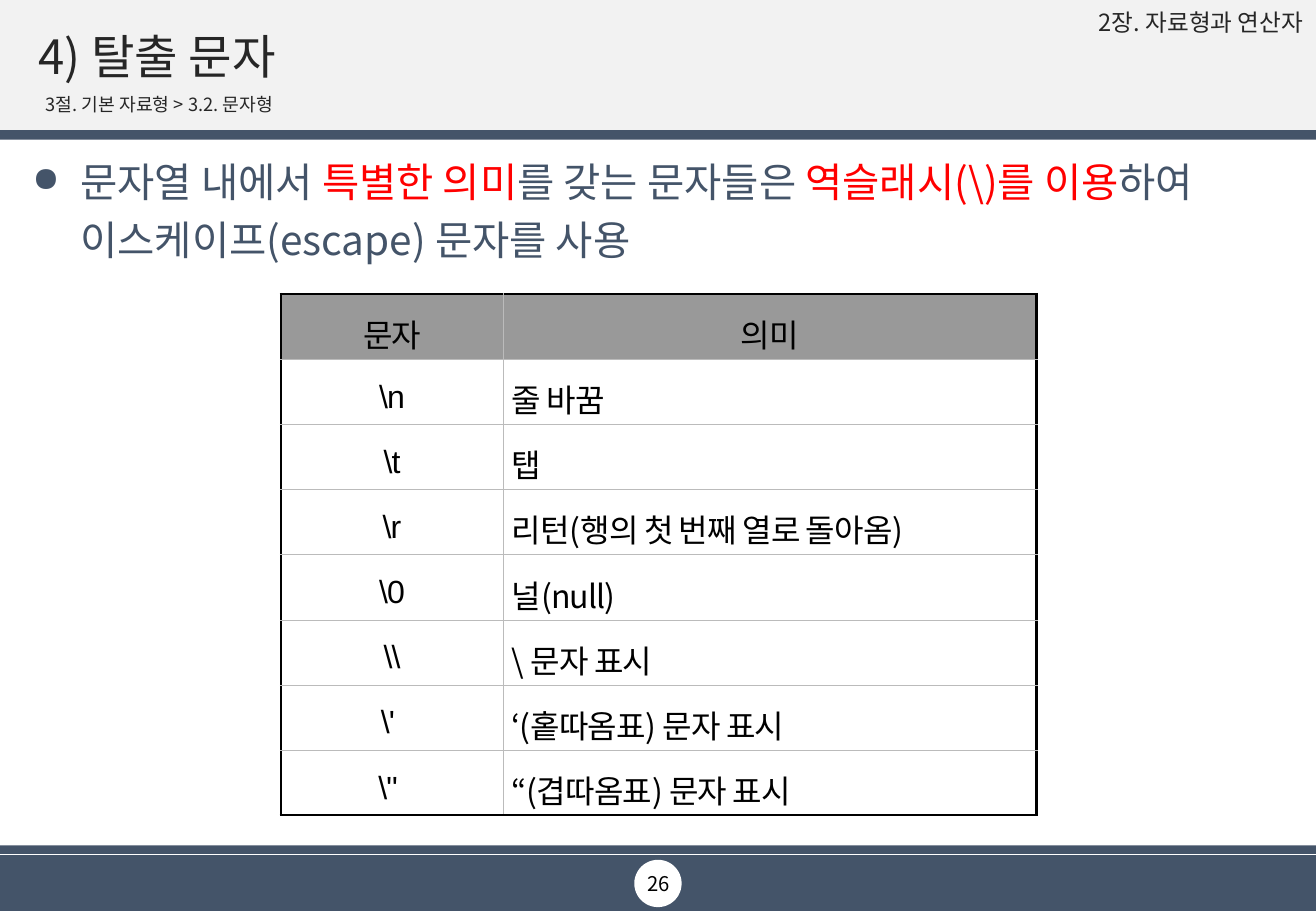
from dataclasses import dataclass
from typing import Any

from lxml import etree
from pptx import Presentation
from pptx.dml.color import RGBColor
from pptx.enum import shapes, text
from pptx.oxml import ns
from pptx.util import Cm, Pt

NAVY = RGBColor(0x44, 0x54, 0x69)
PALE = RGBColor(0xF2, 0xF2, 0xF2)
DARK = RGBColor(0x26, 0x26, 0x26)
RED = RGBColor(0xFF, 0x00, 0x00)
BLACK = RGBColor(0x00, 0x00, 0x00)
WHITE = RGBColor(0xFF, 0xFF, 0xFF)
GRAY = RGBColor(0x99, 0x99, 0x99)
RULE = RGBColor(0xBB, 0xBB, 0xBB)
SANS = "Noto Sans CJK KR"
ARIAL = "Arial"
LEFT, MID, RIGHT, JUST = (text.PP_ALIGN.LEFT, text.PP_ALIGN.CENTER,
                          text.PP_ALIGN.RIGHT, text.PP_ALIGN.JUSTIFY)
TOP, CENTER = text.MSO_ANCHOR.TOP, text.MSO_ANCHOR.MIDDLE
RECT, OVAL = shapes.MSO_SHAPE.RECTANGLE, shapes.MSO_SHAPE.OVAL
WIDE, HIGH = 27.51, 19.05


@dataclass
class Block:
    kind: Any
    x: float
    y: float
    w: float
    h: float
    fill: RGBColor


@dataclass
class Span:
    words: str
    size: float
    color: RGBColor
    face: str = SANS


@dataclass
class Label:
    x: float
    y: float
    w: float
    h: float
    spans: list[Span]
    align: Any = LEFT
    anchor: Any = TOP
    lead: float = 1.0
    pad: tuple[float, float, float, float] = (0.25, 0.13, 0.25, 0.13)


BLOCKS = [
    Block(RECT, 0, 0, WIDE, 2.72, PALE),
    Block(RECT, 0, 17.88, WIDE, 1.17, NAVY),
    Block(RECT, 0, 17.68, WIDE, 0.18, NAVY),
    Block(RECT, 0, 2.72, WIDE, 0.2, NAVY),
    Block(OVAL, 13.26, 17.98, 0.99, 0.99, WHITE),
]
TITLE = Label(0.56, 0.53, 26.39, 1.4, [Span("4) 탈출 문자", 28, DARK)],
              anchor=CENTER, lead=0.9)
BODY = Label(0.43, 2.95, 26.52, 14.53, [
    Span("문자열 내에서 ", 24, NAVY),
    Span("특별한 의미", 24, RED),
    Span("를 갖는 문자들은 ", 24, NAVY),
    Span("역슬래시(\\)를 이용", 24, RED),
    Span("하여 이스케이프(escape) 문자를 사용", 24, NAVY),
], lead=1.2)
NOTES = [
    Label(22.68, 0.13, 4.67, 0.74, [Span("2장. 자료형과 연산자", 14, DARK)],
          align=RIGHT, lead=0.9, pad=(0.1, 0.1, 0.1, 0.1)),
    Label(10.67, 17.98, 6.2, 0.99, [Span("26", 12, BLACK)],
          align=MID, anchor=CENTER),
    Label(0.76, 1.93, 26.21, 0.61,
          [Span("3절. 기본 자료형 > 3.2. 문자형", 10.8, DARK)],
          anchor=CENTER, lead=0.7, pad=(0.2, 0.13, 0.25, 0.13)),
]
ROWS = [
    ("문자", "의미"),
    ("\\n", "줄 바꿈"),
    ("\\t", "탭"),
    ("\\r", "리턴(행의 첫 번째 열로 돌아옴)"),
    ("\\0", "널(null)"),
    ("\\\\", "\\ 문자 표시"),
    ("\\' ", "‘(홑따옴표) 문자 표시"),
    ("\\\" ", "“(겹따옴표) 문자 표시"),
]


def add_run(par: Any, span: Span) -> Any:
    run = par.add_run()
    run.text = span.words
    font = run.font
    font.size, font.name, font.bold = Pt(span.size), span.face, False
    font.color.rgb = span.color
    props = run._r.get_or_add_rPr()
    etree.SubElement(props, ns.qn("a:ea"), typeface=span.face)
    return props


def write(box: Any, label: Label) -> Any:
    box.left, box.top = Cm(label.x), Cm(label.y)
    box.width, box.height = Cm(label.w), Cm(label.h)
    frame = box.text_frame
    frame.auto_size = text.MSO_AUTO_SIZE.NONE
    frame.word_wrap = True
    frame.vertical_anchor = label.anchor
    (frame.margin_left, frame.margin_top,
     frame.margin_right, frame.margin_bottom) = map(Cm, label.pad)
    par = frame.paragraphs[0]
    par.alignment, par.line_spacing = label.align, label.lead
    for span in label.spans:
        add_run(par, span)
    return par


def add_block(slide: Any, block: Block) -> None:
    shape = slide.shapes.add_shape(
        block.kind, Cm(block.x), Cm(block.y), Cm(block.w), Cm(block.h))
    shape.shadow.inherit = False
    shape.fill.solid()
    shape.fill.fore_color.rgb = block.fill
    shape.line.fill.background()


def add_label(slide: Any, label: Label) -> Any:
    return write(slide.shapes.add_textbox(0, 0, 0, 0), label)


def set_bullet(par: Any) -> None:
    props = par._p.get_or_add_pPr()
    props.set("marL", str(Cm(1)))
    props.set("indent", str(-Cm(1)))
    etree.SubElement(props, ns.qn("a:buSzPct"), val="85000")
    etree.SubElement(props, ns.qn("a:buChar"), char="●")


def set_edges(cell: Any, outer: dict[str, bool]) -> None:
    props = cell._tc.get_or_add_tcPr()
    for spot, (side, edge) in enumerate(outer.items()):
        line = etree.Element(ns.qn(f"a:ln{side}"),
                             w=str(Pt(1.7 if edge else 0.28)))
        fill = etree.SubElement(line, ns.qn("a:solidFill"))
        etree.SubElement(fill, ns.qn("a:srgbClr"),
                         val=str(BLACK if edge else RULE))
        props.insert(spot, line)


def add_grid(slide: Any) -> None:
    widths = (4.65, 11.15)
    last = len(ROWS) - 1
    table = slide.shapes.add_table(
        len(ROWS), 2, Cm(5.87), Cm(6.15), Cm(sum(widths)),
        Cm(1.27 * len(ROWS))).table
    table.horz_banding = False
    for col, width in zip(table.columns, widths):
        col.width = Cm(width)
    for i, row in enumerate(ROWS):
        for j, words in enumerate(row):
            cell = table.cell(i, j)
            cell.fill.solid()
            cell.fill.fore_color.rgb = WHITE if i else GRAY
            cell.vertical_anchor = CENTER
            cell.margin_left = cell.margin_right = Cm(0.18)
            cell.margin_top = cell.margin_bottom = Cm(0.05)
            par = cell.text_frame.paragraphs[0]
            par.alignment = JUST if i and j else MID
            par.line_spacing = 1.3
            face = ARIAL if i and not j else SANS
            add_run(par, Span(words, 19, BLACK, face)).set("spc", "-50")
            set_edges(cell, {"L": j == 0, "R": j == 1,
                             "T": i == 0, "B": i == last})


def main() -> None:
    deck = Presentation()
    deck.slide_width, deck.slide_height = Cm(WIDE), Cm(HIGH)
    slide = deck.slides.add_slide(deck.slide_layouts[5])

    # Bands and page badge, kept behind the title
    for block in BLOCKS:
        add_block(slide, block)
    title = slide.shapes.title
    slide.shapes._spTree.append(title._element)

    # Title, main point and small labels
    write(title, TITLE)
    set_bullet(add_label(slide, BODY))
    for note in NOTES:
        add_label(slide, note)

    # Escape characters
    add_grid(slide)
    deck.save("out.pptx")


if __name__ == "__main__":
    main()
